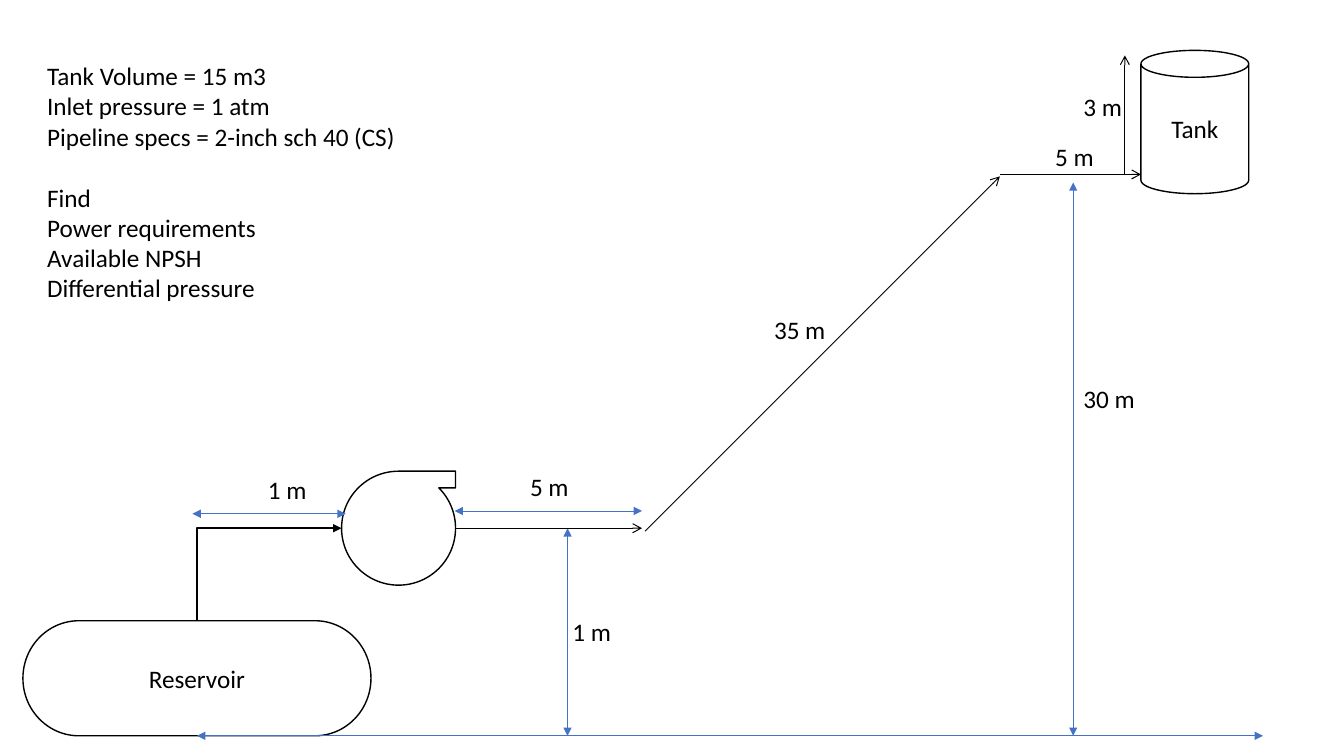
from dataclasses import dataclass

from lxml.etree import SubElement
from pptx import Presentation
from pptx.dml.color import RGBColor as Color
from pptx.enum.shapes import MSO_CONNECTOR as Link, MSO_SHAPE as Kind
from pptx.enum.text import MSO_ANCHOR as Anchor, MSO_AUTO_SIZE as Auto, PP_ALIGN as Align
from pptx.oxml.ns import qn
from pptx.util import Pt


@dataclass(frozen=True)
class Theme:
    ink: Color = Color(0, 0, 0)
    paper: Color = Color(255, 255, 255)
    blue: Color = Color(0x44, 0x72, 0xC4)
    font: str = "Calibri"
    size: int = 18


theme = Theme()
SIZE = {"left": 57, "height": 29}
PIPE = {"color": theme.ink, "width": 0.75, "tail": "arrow"}
FEED = {"color": theme.ink, "width": 1.5, "head": "triangle"}
SPAN = {"color": theme.blue, "width": 0.5, "head": "triangle", "tail": "triangle"}
TYPE = {"name": theme.font, "size": Pt(theme.size)}
NOTES = [
    ["Tank Volume = 15 m3", "Inlet pressure = 1 atm",
     "Pipeline specs = 2-inch sch 40 (CS)"],
    ["Find", "Power requirements", "Available NPSH", "Differential pressure"],
]


def apply(item, values):
    for name, value in values.items():
        setattr(item, name, value)


def write(para, text):
    run = para.add_run()
    run.text = text
    apply(run.font, TYPE)
    run.font.color.rgb = theme.ink


def add_unit(shapes, kind, box, text=""):
    unit = shapes.add_shape(kind, *map(Pt, box))
    unit.shadow.inherit = False
    unit.fill.solid()
    unit.fill.fore_color.rgb = theme.paper
    unit.line.color.rgb = theme.ink
    unit.line.width = Pt(1)
    if text:
        frame = unit.text_frame
        frame.vertical_anchor = Anchor.MIDDLE
        frame.paragraphs[0].alignment = Align.CENTER
        write(frame.paragraphs[0], text)
    return unit


def add_text(shapes, box, groups):
    frame = shapes.add_textbox(*map(Pt, box)).text_frame
    apply(frame, {"word_wrap": True, "auto_size": Auto.SHAPE_TO_FIT_TEXT})
    para = None
    for group in groups:
        for row, text in enumerate(group):
            first = para is None
            para = frame.paragraphs[0] if first else frame.add_paragraph()
            if row == 0 and not first:
                para.space_before = Pt(22)
            write(para, text)


def add_line(shapes, start, end, style, kind=Link.STRAIGHT):
    line = shapes.add_connector(kind, *map(Pt, (*start, *end)))
    line.line.color.rgb = style["color"]
    line.line.width = Pt(style["width"])
    props = line._element.spPr
    for side in ("head", "tail"):
        if side in style:
            SubElement(props.find(qn("a:ln")), qn(f"a:{side}End"), type=style[side])
    SubElement(props, qn("a:effectLst"))
    return line


def main():
    deck = Presentation()
    apply(deck, {"slide_width": Pt(960), "slide_height": Pt(540)})
    shapes = deck.slides.add_slide(deck.slide_layouts[6]).shapes

    pump = add_unit(shapes, Kind.FLOWCHART_SEQUENTIAL_ACCESS_STORAGE,
                    (244, 336.6, 81.4, 81.4))
    pump._element.spPr.find(qn("a:xfrm")).set("flipV", "1")
    add_unit(shapes, Kind.CAN, (815, 36, 77, 102.4), "Tank")
    store = add_unit(shapes, Kind.FLOWCHART_TERMINATOR,
                     (16.4, 443.4, 248.6, 82.2), "Reservoir")

    feed = add_line(shapes, (244, 377.3), (140.7, 443.4), FEED, Link.ELBOW)
    feed._element.spPr.find(qn("a:prstGeom")).set("prst", "bentConnector2")
    feed.begin_connect(pump, 1)
    feed.end_connect(store, 0)

    ground = 525.6
    base = add_line(shapes, (902.2, ground), (140.7, ground), SPAN)
    base.end_connect(store, 2)
    for start, end in [
        ((766.6, 130.3), (766.6, ground)),
        ((405.4, 377.3), (405.4, ground)),
        ((247, 367), (137.5, 367)),
        ((458.6, 365), (324.7, 365)),
    ]:
        add_line(shapes, start, end, SPAN)

    out = add_line(shapes, (325.4, 377.3), (458.6, 377.3), PIPE)
    out.begin_connect(pump, 3)
    for start, end in [
        ((460.8, 379.4), (714.2, 126)),
        ((714.2, 124.6), (815, 124.6)),
        ((803.5, 124.6), (803.5, 39.6)),
    ]:
        add_line(shapes, start, end, PIPE)

    for left, top, text in [
        (766.8, 270, "30 m"),
        (401.8, 437, "1 m"),
        (184.3, 335.5, "1 m"),
        (371.5, 333.4, "5 m"),
        (545.8, 221, "35 m"),
        (746.6, 97.2, "5 m"),
        (766.8, 61.9, "3 m"),
    ]:
        add_text(shapes, (left, top, SIZE["left"], SIZE["height"]), [[text]])
    add_text(shapes, (26.6, 39.6, 298.8, 181.4), NOTES)

    deck.save("out.pptx")


if __name__ == "__main__":
    main()
